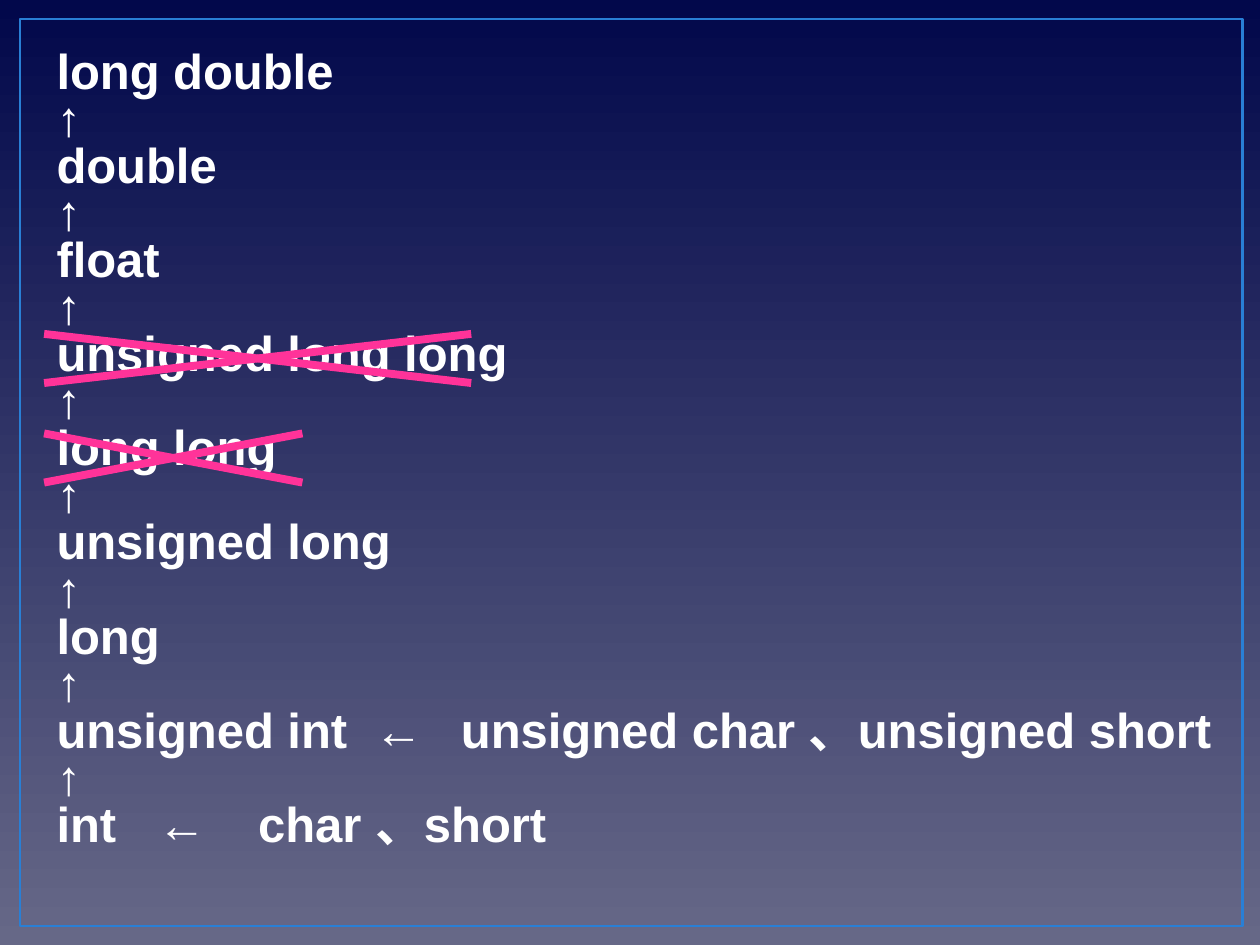
from dataclasses import dataclass

from lxml.etree import SubElement
from pptx import Presentation
from pptx.dml.color import RGBColor as RGB
from pptx.enum.shapes import MSO_CONNECTOR as CONN, MSO_SHAPE as SHAPE
from pptx.enum.text import MSO_AUTO_SIZE as AUTO, PP_ALIGN as ALIGN
from pptx.oxml.ns import qn
from pptx.util import Inches, Pt


@dataclass(frozen=True)
class Theme:
    bottom: RGB = RGB.from_string("666887")
    top: RGB = RGB.from_string("02084B")
    frame: RGB = RGB.from_string("297FD5")
    text: RGB = RGB.from_string("FFFFFF")
    cross: RGB = RGB.from_string("FF3399")
    font: str = "Arial"
    size: Pt = Pt(28)


def add_tabs(p, stops):
    tabs = SubElement(p._p.get_or_add_pPr(), qn("a:tabLst"))
    for stop in stops:
        SubElement(tabs, qn("a:tab"), pos=str(Inches(stop)), algn="l")


def add_cross(s, left, top, right, bottom):
    group = s.shapes.add_group_shape()
    for x1, x2 in ((left, right), (right, left)):
        line = group.shapes.add_connector(
            CONN.STRAIGHT, Inches(x1), Inches(top), Inches(x2), Inches(bottom))
        line.line.color.rgb = theme.cross
        line.line.width = Pt(4.5)
        SubElement(line._element.spPr, qn("a:effectLst"))


theme = Theme()
prs = Presentation()
prs.slide_width, prs.slide_height = Inches(10), Inches(7.5)
s = prs.slides.add_slide(prs.slide_layouts[6])

# Background and frame
fill = s.background.fill
fill.gradient()
fill.gradient_angle = 90
for stop, color in zip(fill.gradient_stops, (theme.bottom, theme.top)):
    stop.color.rgb = color

frame = s.shapes.add_shape(
    SHAPE.RECTANGLE, Inches(0.16), Inches(0.15), Inches(9.7), Inches(7.2))
frame.shadow.inherit = False
frame.fill.background()
frame.line.color.rgb = theme.frame
frame.line.width = Pt(1.5)

# Conversion chain, highest type first, with tab stops where a row has columns
chain = [
    ("long double", ()),
    ("double", ()),
    ("float", ()),
    ("unsigned long long", ()),
    ("long long", ()),
    ("unsigned long", ()),
    ("long", ()),
    ("unsigned int\t←\tunsigned char 、unsigned short", (2.52, 3.21)),
    ("int\t←\tchar 、short", (0.8, 1.6)),
]
rows = [chain[0]]
for row in chain[1:]:
    rows += [("↑", ()), row]

box = s.shapes.add_textbox(Inches(0.35), Inches(0.36), Inches(9.65), Inches(6.45))
tf = box.text_frame
tf.word_wrap = True
tf.auto_size = AUTO.SHAPE_TO_FIT_TEXT
for i, (text, stops) in enumerate(rows):
    p = tf.add_paragraph() if i else tf.paragraphs[0]
    p.alignment = ALIGN.JUSTIFY
    p.line_spacing = 0.8
    if stops:
        add_tabs(p, stops)
    r = p.add_run()
    r.text = text
    r.font.name = theme.font
    r.font.size = theme.size
    r.font.bold = True
    r.font.color.rgb = theme.text

# Types crossed out of the chain
add_cross(s, 0.35, 2.65, 3.74, 3.04)
add_cross(s, 0.35, 3.44, 2.4, 3.83)

prs.save("out.pptx")
